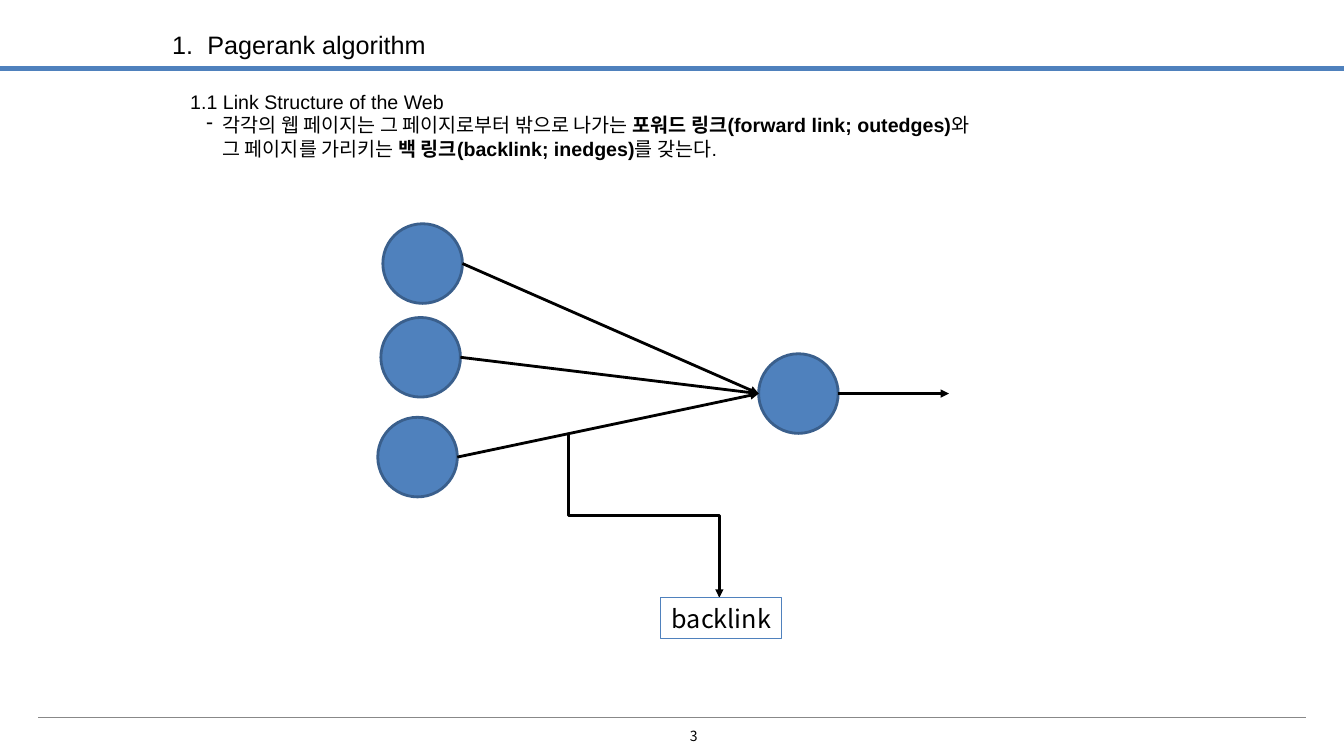
import lxml.etree
import pptx
import pptx.dml.color
import pptx.enum.shapes
import pptx.enum.text
import pptx.oxml.ns
import pptx.util

WIDTH = pptx.util.Inches(13.34)
HEIGHT = pptx.util.Inches(7.5)
BLUE, EDGE, GRAY, BLACK = "4F81BD", "3A5F8C", "888888", "000000"
LATIN, KOREAN = "Arial", "Noto Sans CJK KR"
NODE_WIDTH, NODE_HEIGHT = 5.92, 10.53
SHAPE = pptx.enum.shapes.MSO_SHAPE
CONNECTOR = pptx.enum.shapes.MSO_CONNECTOR
CENTER = pptx.enum.text.PP_ALIGN.CENTER
MIDDLE = pptx.enum.text.MSO_ANCHOR.MIDDLE


def across(percent):
    return round(WIDTH * percent / 100)


def down(percent):
    return round(HEIGHT * percent / 100)


def area(left, top, width, height):
    return across(left), down(top), across(width), down(height)


def color(code):
    return pptx.dml.color.RGBColor.from_string(code)


def add_child(parent, tag, **attributes):
    return lxml.etree.SubElement(parent, pptx.oxml.ns.qn(tag), attributes)


def style_span(span, size, font, bold=False):
    span.font.size = pptx.util.Pt(size)
    span.font.name = font
    span.font.bold = bold
    span.font.color.rgb = color(BLACK)
    add_child(span.font._element, "a:ea", typeface=KOREAN)


def indent(para, left, hanging=0, tag=None, **bullet):
    properties = para._p.get_or_add_pPr()
    properties.set("marL", str(pptx.util.Inches(left)))
    properties.set("indent", str(-pptx.util.Inches(hanging)))
    if tag:
        add_child(properties, tag, **bullet)


def add_text(page, place, paragraphs, size, font):
    box = page.shapes.add_textbox(*area(*place))
    frame = box.text_frame
    frame.word_wrap = True
    for index, pieces in enumerate(paragraphs):
        para = frame.paragraphs[0] if index == 0 else frame.add_paragraph()
        for position, piece in enumerate(pieces):
            span = para.add_run()
            span.text = piece
            style_span(span, size, font, bold=position == 1)
    return box


def add_line(page, begin, end, code, weight, arrow=False, kind=CONNECTOR.STRAIGHT):
    line = page.shapes.add_connector(
        kind, across(begin[0]), down(begin[1]), across(end[0]), down(end[1]))
    line.line.color.rgb = color(code)
    line.line.width = pptx.util.Pt(weight)
    if arrow:
        add_child(line.line._get_or_add_ln(), "a:tailEnd", type="triangle")
    add_child(line._element.spPr, "a:effectLst")
    return line


def add_vertical_elbow(page, begin, end):
    elbow = add_line(page, begin, end, BLACK, 2, True, CONNECTOR.ELBOW)
    middle_x = elbow.left + elbow.width // 2
    middle_y = elbow.top + elbow.height // 2
    elbow.width, elbow.height = elbow.height, elbow.width
    elbow.left = middle_x - elbow.width // 2
    elbow.top = middle_y - elbow.height // 2
    frame = elbow._element.spPr.find(pptx.oxml.ns.qn("a:xfrm"))
    frame.set("rot", "16200000")
    frame.set("flipH", "1")


def add_node(page, left, top):
    node = page.shapes.add_shape(SHAPE.OVAL, *area(left, top, NODE_WIDTH, NODE_HEIGHT))
    node.shadow.inherit = False
    node.fill.solid()
    node.fill.fore_color.rgb = color(BLUE)
    node.line.color.rgb = color(EDGE)
    node.line.width = pptx.util.Pt(2)


def add_header_and_footer(page):
    add_line(page, (0, 9.07), (100, 9.07), BLUE, 3.25)
    add_line(page, (2.85, 94.93), (97.15, 94.93), GRAY, 0.75)
    number = add_text(page, (39.96, 95.87, 23.31, 3.07), [["3"]], 10, KOREAN)
    number.text_frame.vertical_anchor = MIDDLE
    number.text_frame.paragraphs[0].alignment = CENTER
    title = add_text(page, (12.07, 3.2, 27.81, 5.33), [["Pagerank algorithm"]], 18, LATIN)
    indent(title.text_frame.paragraphs[0], 0.35, 0.35, "a:buAutoNum", type="arabicPeriod")


def add_explanation(page):
    box = add_text(page, (13.42, 11.2, 82.76, 10.8), [
        ["1.1 Link Structure of the Web"],
        ["각각의 웹 페이지는 그 페이지로부터 밖으로 나가는 ",
         "포워드 링크(forward link; outedges)", "와"],
        ["그 페이지를 가리키는 ", "백 링크(backlink; inedges)", "를 갖는다."],
    ], 14, LATIN)
    heading, forward, backward = box.text_frame.paragraphs
    indent(forward, 0.32, 0.16, "a:buChar", char="-")
    indent(backward, 0.32)


def add_link_diagram(page):
    sources = [(28.49, 29.6), (28.34, 42), (28.11, 55.2)]
    target_left, target_top = 56.45, 46.8
    target_middle = target_top + NODE_HEIGHT / 2
    for left, top in sources + [(target_left, target_top)]:
        add_node(page, left, top)
    for left, top in sources:
        add_line(page, (left + NODE_WIDTH, top + NODE_HEIGHT / 2),
                 (target_left, target_middle), BLACK, 2, True)
    add_line(page, (target_left + NODE_WIDTH, target_middle),
             (70.61, target_middle), BLACK, 2, True)
    add_vertical_elbow(page, (42.28, 57.33), (53.52, 79.07))
    label = add_text(page, (49.18, 79.07, 9, 5.33), [["backlink"]], 18, KOREAN)
    label.line.color.rgb = color(BLUE)
    label.line.width = pptx.util.Pt(0.75)
    label.text_frame.vertical_anchor = MIDDLE
    label.text_frame.paragraphs[0].alignment = CENTER


def main():
    deck = pptx.Presentation()
    deck.slide_width, deck.slide_height = WIDTH, HEIGHT
    page = deck.slides.add_slide(deck.slide_layouts[6])
    add_header_and_footer(page)
    add_explanation(page)
    add_link_diagram(page)
    deck.save("out.pptx")


if __name__ == "__main__":
    main()
